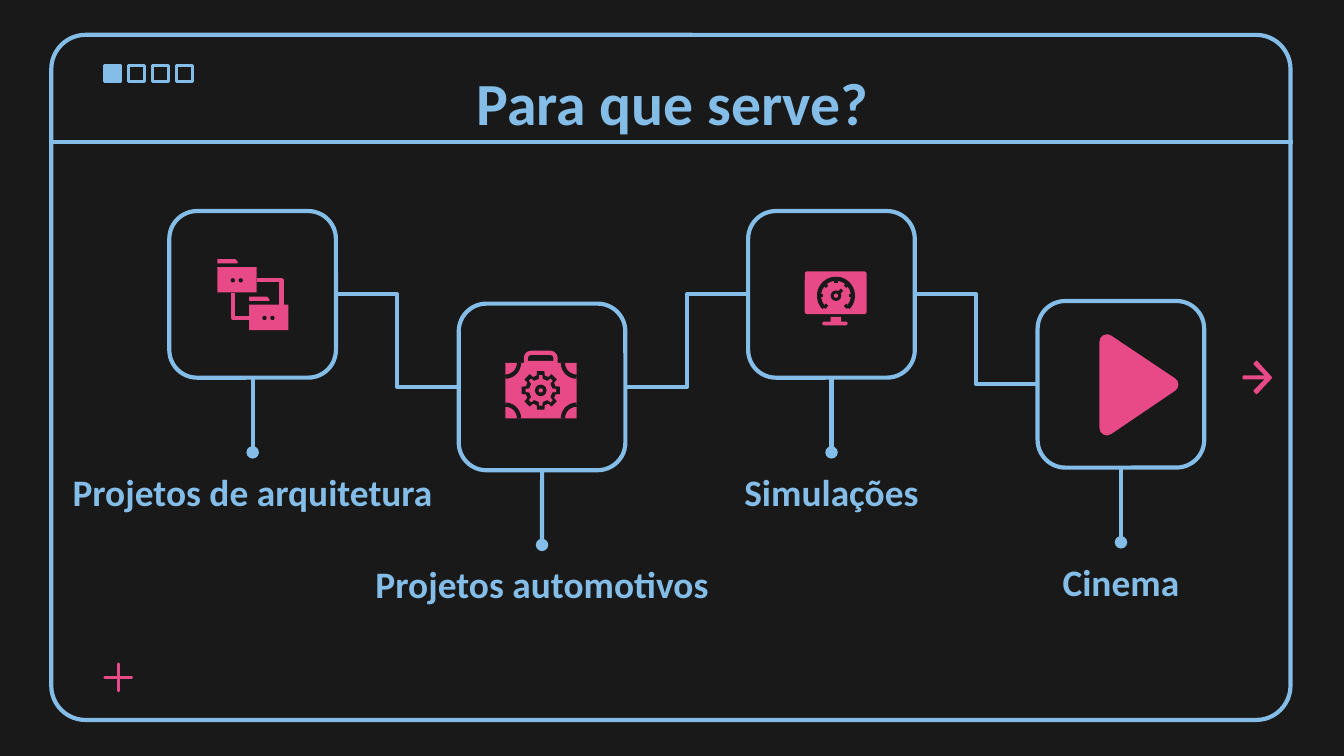
from math import cos, radians, sin

from lxml import etree
from pptx import Presentation
from pptx.dml.color import RGBColor
from pptx.enum.shapes import MSO_CONNECTOR, MSO_SHAPE
from pptx.enum.text import MSO_ANCHOR, MSO_AUTO_SIZE, PP_ALIGN
from pptx.oxml.ns import qn
from pptx.util import Cm, Pt

DARK = RGBColor(0x19, 0x19, 0x19)
BLUE = RGBColor(0x84, 0xBD, 0xE7)
PINK = RGBColor(0xE8, 0x49, 0x87)
RECT, ROUND, OVAL = MSO_SHAPE.RECTANGLE, MSO_SHAPE.ROUNDED_RECTANGLE, MSO_SHAPE.OVAL
SNIP, HANDLE = MSO_SHAPE.SNIP_1_RECTANGLE, MSO_SHAPE.ROUND_2_SAME_RECTANGLE
STAR = MSO_SHAPE.STAR_4_POINT
STRAIGHT, ELBOW = MSO_CONNECTOR.STRAIGHT, MSO_CONNECTOR.ELBOW
CENTER, MIDDLE, BOTTOM = PP_ALIGN.CENTER, MSO_ANCHOR.MIDDLE, MSO_ANCHOR.BOTTOM
NO_AUTOFIT = MSO_AUTO_SIZE.NONE

deck = Presentation()
deck.slide_width, deck.slide_height = Cm(25.4), Cm(14.29)
slide = deck.slides.add_slide(deck.slide_layouts[5])
slide.background.fill.solid()
slide.background.fill.fore_color.rgb = DARK
shapes = slide.shapes


def draw(outline, fill=None, line=None, width=2.25):
    """Add a preset (kind, left, top, width, height) or a list of points, in cm."""
    if isinstance(outline, tuple):
        kind, *frame = outline
        shape = shapes.add_shape(kind, *map(Cm, frame))
    else:
        points = [(Cm(x), Cm(y)) for x, y in outline]
        builder = shapes.build_freeform(*points[0])
        builder.add_line_segments(points[1:], close=fill is not None)
        shape = builder.convert_to_shape()
    shape.shadow.inherit = False
    for part, color in ((shape.fill, fill), (shape.line.fill, line)):
        if color is None:
            part.background()
        else:
            part.solid()
            part.fore_color.rgb = color
    if line is not None:
        shape.line.width = Pt(width)
    return shape


def polar(center, *steps):
    """Points at (radius, degrees) around a center."""
    return [(center[0] + radius * cos(radians(angle)), center[1] + radius * sin(radians(angle)))
            for radius, angle in steps]


# Window frame, header rule and page squares
draw((ROUND, 0.97, 0.66, 23.42, 12.95), line=BLUE).adjustments[0] = 0.05
connectors = [shapes.add_connector(STRAIGHT, Cm(0.94), Cm(2.69), Cm(24.43), Cm(2.69))]
for index in range(4):
    draw((RECT, 1.98 + 0.45 * index, 1.24, 0.31, 0.31), BLUE if index == 0 else None, BLUE, 1.5)

# Title
title = shapes.title
title.left, title.top, title.width, title.height = Cm(2.01), Cm(1.24), Cm(21.41), Cm(1.6)
texts = [(title, "Para que serve?", 32, BOTTOM)]

# Steps: box, stem and label
BOX, STEM = 3.15, 1.41
steps = [("Projetos de arquitetura", 3.99, 7.8), ("Projetos automotivos", 5.74, 6.96),
         ("Simulações", 3.99, 3.96), ("Cinema", 5.69, 3.96)]
boxes, stems = [], []
for index, (label, top, width) in enumerate(steps):
    left = 3.2 + 5.47 * index
    middle, end = left + BOX / 2, top + BOX + STEM
    box = draw((ROUND, left, top, BOX, BOX), DARK, BLUE)
    boxes.append(box)
    stem = shapes.add_connector(STRAIGHT, Cm(middle), Cm(top + BOX), Cm(middle), Cm(end))
    stem.begin_connect(box, 2)
    stems.append(stem)
    caption = shapes.add_textbox(Cm(middle - width / 2), Cm(end), Cm(width), Cm(1.47))
    texts.append((caption, label, 20, MIDDLE))

# Elbows between neighbouring boxes
for before, after in zip(boxes, boxes[1:]):
    elbow = shapes.add_connector(ELBOW, 0, 0, 0, 0)
    elbow.begin_connect(before, 3)
    elbow.end_connect(after, 1)
    connectors.append(elbow)

for connector in connectors + stems:
    connector.line.color.rgb = BLUE
    connector.line.width = Pt(2.25)
    etree.SubElement(connector._element.spPr, qn("a:effectLst"))
for stem in stems:
    etree.SubElement(stem.line._get_or_add_ln(), qn("a:tailEnd"), type="oval")

# Text formatting
for holder, text, size, anchor in texts:
    frame = holder.text_frame
    frame.text = text
    layout = {"word_wrap": True, "auto_size": NO_AUTOFIT, "vertical_anchor": anchor}
    layout.update({f"margin_{side}": Cm(0.25) for side in ("left", "right", "top", "bottom")})
    for name, value in layout.items():
        setattr(frame, name, value)
    para = frame.paragraphs[0]
    para.alignment = CENTER
    for name, value in {"name": "Calibri", "size": Pt(size), "bold": True}.items():
        setattr(para.font, name, value)
    para.font.color.rgb = BLUE

# Linked folders icon
for link in ([(4.85, 5.3), (5.32, 5.3), (5.32, 5.77)], [(4.41, 5.53), (4.41, 6.01), (4.7, 6.01)]):
    draw(link, line=PINK)
for left, top in ((4.11, 4.9), (4.71, 5.61)):
    draw((SNIP, left, top, 0.38, 0.08), PINK).adjustments[0] = 0.5
    draw((RECT, left, top + 0.15, 0.74, 0.48), PINK)
    for offset in (0.25, 0.4):
        draw((OVAL, left + offset, top + 0.36, 0.08, 0.08), DARK)

# Suitcase icon
draw((HANDLE, 9.94, 6.67, 0.56, 0.19), line=PINK).adjustments[0] = 0.5
draw((RECT, 9.55, 6.86, 1.35, 1.05), PINK)
for corner, start in (((9.55, 6.86), 0), ((10.9, 6.86), 90), ((10.9, 7.91), 180), ((9.55, 7.91), 270)):
    draw(polar(corner, *[(0.26, start + angle) for angle in range(0, 91, 10)]), line=DARK)
GEAR = (10.22, 7.38)
for root, root_angle, tip, tip_angle, color in ((0.29, 15, 0.37, 11, DARK), (0.22, 10, 0.29, 6, PINK)):
    teeth = [(radius, 45 * tooth + angle) for tooth in range(8)
             for radius, angle in ((root, -root_angle), (tip, -tip_angle),
                                   (tip, tip_angle), (root, root_angle))]
    draw(polar(GEAR, *teeth), color)

# Gauge monitor icon
draw((ROUND, 15.21, 5.13, 1.17, 0.81), PINK).adjustments[0] = 0.06
draw((RECT, 15.7, 5.99, 0.2, 0.12), PINK)
draw((ROUND, 15.54, 6.08, 0.48, 0.07), PINK).adjustments[0] = 0.5
GAUGE = (15.8, 5.59)
draw(polar(GAUGE, *[(0.32, angle) for angle in range(135, 406, 10)]), line=DARK)
for angle in range(135, 406, 45):
    draw(polar(GAUGE, (0.32, angle), (0.24, angle)), line=DARK, width=1.75)
draw(polar(GAUGE, (0, 315), (0.16, 315)), line=DARK, width=1.75)

# Hubs of the gear and the gauge
for (x, y), outer in ((GEAR, 0.11), (GAUGE, 0.1)):
    for radius, color in ((outer, DARK), (0.04, PINK)):
        draw((OVAL, x - radius, y - radius, 2 * radius, 2 * radius), color)

# Play icon, rounded by its thick outline
draw([(20.92, 6.46), (22.13, 7.27), (20.92, 8.09)], PINK, PINK, 8)

# Next arrow and plus mark
draw([(23.75, 6.83), (23.7, 6.88), (23.93, 7.11), (23.5, 7.11), (23.5, 7.16),
      (23.93, 7.16), (23.7, 7.39), (23.75, 7.44), (24.03, 7.14)], PINK, PINK, 0.75)
draw((STAR, 1.98, 12.55, 0.51, 0.51), PINK, PINK, 1.5).adjustments[0] = 0

deck.save("out.pptx")
